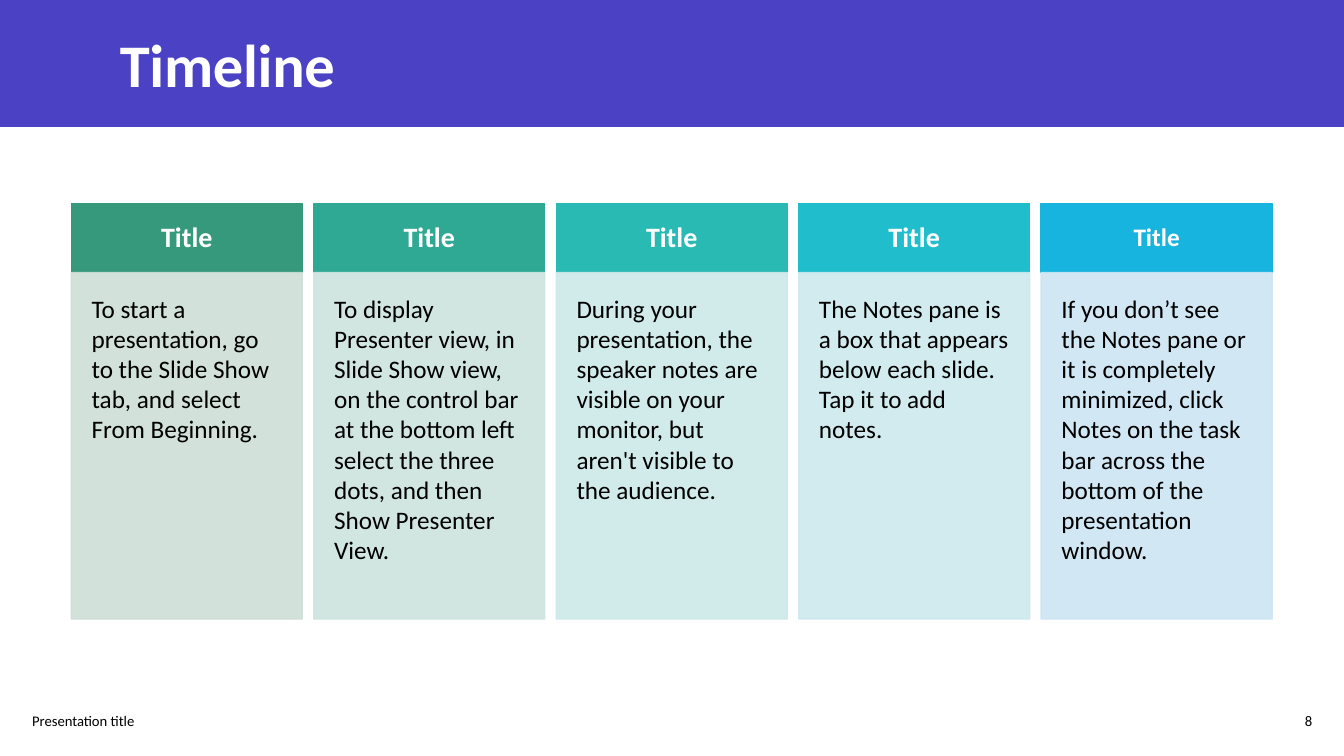
from lxml import etree
from pptx import Presentation
from pptx.dml.color import RGBColor
from pptx.enum.shapes import MSO_SHAPE as Shape
from pptx.enum.text import MSO_ANCHOR as Anchor, PP_ALIGN as Align
from pptx.oxml.ns import qn
from pptx.util import Cm, Pt

COLUMN_LEFT, COLUMN_PITCH, COLUMN_WIDTH = 1.8, 6.11, 5.82
HEADER_TOP, HEADER_HEIGHT = 5.13, 1.74
BODY_TOP, BODY_HEIGHT = 6.87, 8.73

# header colour, body colour, header size, body text
COLUMNS = [
    ("37997B", "CEDED7", 20,
     "To start a presentation, go to the Slide Show tab, and select From Beginning."),
    ("30A994", "CDE4DE", 20,
     "To display Presenter view, in Slide Show view, on the control bar at the "
     "bottom left select the three dots, and then Show Presenter View."),
    ("29BAB4", "CCE9E8", 20,
     "During your presentation, the speaker notes are visible on your monitor, "
     "but aren't visible to the audience."),
    ("20BECC", "CCE9EE", 20,
     "The Notes pane is a box that appears below each slide. Tap it to add notes."),
    ("17B4DF", "CCE5F3", 18,
     "If you don’t see the Notes pane or it is completely minimized, click Notes "
     "on the task bar across the bottom of the presentation window."),
]


def add_box(left, top, width, height, color, opacity=100):
    """Add a rectangle whose fill and outline share one colour."""
    box = slide.shapes.add_shape(
        Shape.RECTANGLE, Cm(left), Cm(top), Cm(width), Cm(height))
    box.shadow.inherit = False
    box.fill.solid()
    box.fill.fore_color.rgb = RGBColor.from_string(color)
    box.line.color.rgb = RGBColor.from_string(color)
    box.line.width = Pt(1)
    if opacity < 100:
        for color_element in box.element.spPr.iter(qn("a:srgbClr")):
            etree.SubElement(color_element, qn("a:alpha"), val=str(opacity * 1000))
    return box


def write_text(shape, text, size, color, bold=False, align=Align.LEFT,
               anchor=Anchor.MIDDLE, inset=None):
    frame = shape.text_frame
    frame.word_wrap = True
    frame.vertical_anchor = anchor
    if inset is not None:
        frame.margin_left = frame.margin_right = Cm(inset)
        frame.margin_top = frame.margin_bottom = Cm(inset)
    paragraph = frame.paragraphs[0]
    paragraph.alignment = align
    run = paragraph.add_run()
    run.text = text
    run.font.name = "Calibri"
    run.font.size = Pt(size)
    run.font.bold = bold
    run.font.color.rgb = RGBColor.from_string(color)
    return run


presentation = Presentation()
presentation.slide_width = Cm(33.87)
presentation.slide_height = Cm(19.05)
slide = presentation.slides.add_slide(presentation.slide_layouts[6])

# Title band
band = add_box(0, 0, 33.87, 3.2, "4A41C5")
band.line.fill.background()
title = slide.shapes.add_textbox(Cm(2.77), Cm(0.53), Cm(27.84), Cm(2.11))
title_run = write_text(title, "Timeline", 43.2, "FFFFFF", bold=True)
title_run.font._element.set("spc", "-20")

# Timeline columns
for index, (header_color, body_color, header_size, text) in enumerate(COLUMNS):
    left = COLUMN_LEFT + index * COLUMN_PITCH
    header = add_box(left, HEADER_TOP, COLUMN_WIDTH, HEADER_HEIGHT, header_color)
    write_text(header, "Title", header_size, "FFFFFF", bold=True,
               align=Align.CENTER, inset=0.46)
    header.text_frame.paragraphs[0].line_spacing = 0.9
    body = add_box(left, BODY_TOP, COLUMN_WIDTH, BODY_HEIGHT, body_color, opacity=90)
    write_text(body, text, 18, "000000", anchor=Anchor.TOP, inset=0.51)

# Footer
for left, width, text, align in [
    (0.56, 13.44, "Presentation title", Align.LEFT),
    (31.57, 1.75, "8", Align.RIGHT),
]:
    footer = slide.shapes.add_textbox(Cm(left), Cm(17.65), Cm(width), Cm(1.02))
    write_text(footer, text, 10.5, "000000", align=align)

presentation.save("out.pptx")
